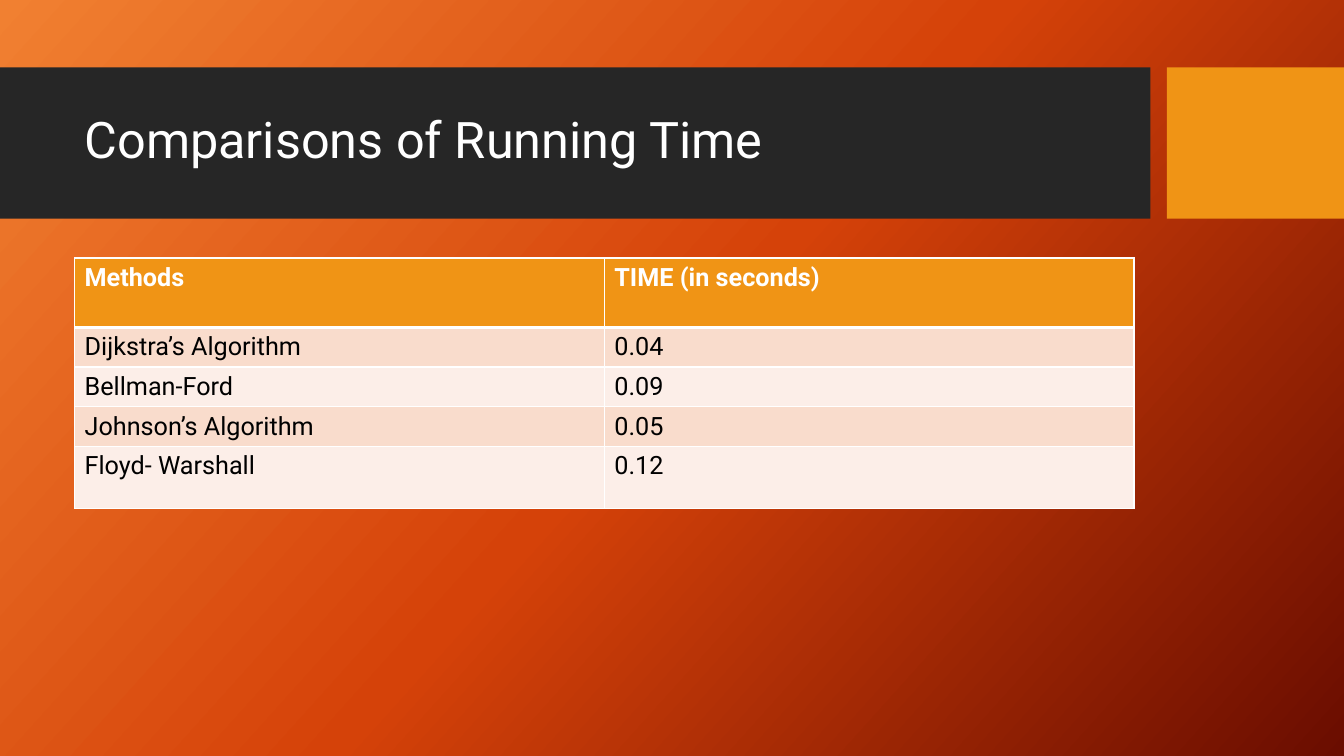
from copy import deepcopy

from lxml.etree import SubElement
from pptx import Presentation
from pptx.dml.color import RGBColor
from pptx.enum.shapes import MSO_SHAPE
from pptx.enum.text import MSO_ANCHOR, MSO_AUTO_SIZE, PP_ALIGN
from pptx.oxml.ns import qn
from pptx.util import Cm, Pt

COLOURS = {
    "light orange": "F18031",
    "deep orange": "D54209",
    "dark red": "6A0D00",
    "charcoal": "262626",
    "amber": "F09415",
    "odd row": "F9DCCC",
    "even row": "FCEEE8",
    "white": "FFFFFF",
    "black": "000000",
}
FONT = "Roboto"
CONTENT_LEFT, CONTENT_WIDTH = Cm(1.88), Cm(26.7)
BAND_TOP, BAND_HEIGHT = Cm(1.7), Cm(3.81)

RUNNING_TIMES = [
    ("Methods", "TIME (in seconds)"),
    ("Dijkstra’s Algorithm", "0.04"),
    ("Bellman-Ford", "0.09"),
    ("Johnson’s Algorithm", "0.05"),
    ("Floyd- Warshall", "0.12"),
]
ROW_HEIGHTS = [Cm(1.75), Cm(1), Cm(1), Cm(1), Cm(1.57)]


def colour(name):
    return RGBColor.from_string(COLOURS[name])


def format_text(text_frame, size, colour_name, bold=False):
    for paragraph in text_frame.paragraphs:
        for run in paragraph.runs:
            run.font.name = FONT
            run.font.size = Pt(size)
            run.font.bold = bold
            run.font.color.rgb = colour(colour_name)


def set_background(slide):
    fill = slide.background.fill
    fill.gradient()
    fill.gradient_angle = 360 - 42
    stop_list = slide.element.find(".//" + qn("a:gsLst"))
    stop_list.insert(1, deepcopy(stop_list[0]))
    names = ("light orange", "deep orange", "dark red")
    for index, (stop, name) in enumerate(zip(fill.gradient_stops, names)):
        stop.position = index / 2
        stop.color.rgb = colour(name)


def add_band(slide, left, width, colour_name):
    band = slide.shapes.add_shape(
        MSO_SHAPE.RECTANGLE, left, BAND_TOP, width, BAND_HEIGHT)
    band.shadow.inherit = False
    band.fill.solid()
    band.fill.fore_color.rgb = colour(colour_name)
    band.line.fill.background()


def set_title(slide, text):
    """Place the title in front of the bands."""
    title = slide.shapes.title
    slide.shapes.element.append(title.element)
    title.left, title.top = CONTENT_LEFT, Cm(2.08)
    title.width, title.height = CONTENT_WIDTH, Cm(3)
    text_frame = title.text_frame
    text_frame.text = text
    text_frame.auto_size = MSO_AUTO_SIZE.NONE
    text_frame.vertical_anchor = MSO_ANCHOR.MIDDLE
    text_frame.paragraphs[0].alignment = PP_ALIGN.LEFT
    text_frame.paragraphs[0].line_spacing = 0.9
    format_text(text_frame, 36, "white")


def set_borders(cell, top, bottom):
    """Draw white cell edges; top and bottom are widths in points."""
    properties = cell._tc.get_or_add_tcPr()
    for tag, width in (("lnL", 1), ("lnR", 1), ("lnT", top), ("lnB", bottom)):
        line = SubElement(properties, qn("a:" + tag), w=str(Pt(width)))
        fill = SubElement(line, qn("a:solidFill"))
        SubElement(fill, qn("a:srgbClr"), val=COLOURS["white"])


def add_running_times(slide):
    table = slide.shapes.add_table(
        len(RUNNING_TIMES), 2, CONTENT_LEFT, Cm(6.5),
        CONTENT_WIDTH, sum(ROW_HEIGHTS)).table
    for row_index, values in enumerate(RUNNING_TIMES):
        table.rows[row_index].height = ROW_HEIGHTS[row_index]
        header = row_index == 0
        row_colour = "odd row" if row_index % 2 else "even row"
        for column_index, value in enumerate(values):
            cell = table.cell(row_index, column_index)
            cell.text_frame.text = value
            format_text(cell.text_frame, 18,
                        "white" if header else "black", header)
            set_borders(cell, top=3 if row_index == 1 else 1,
                        bottom=3 if header else 1)
            cell.fill.solid()
            cell.fill.fore_color.rgb = colour("amber" if header else row_colour)


def main():
    presentation = Presentation()
    presentation.slide_width = Cm(33.87)
    presentation.slide_height = Cm(19.05)
    slide = presentation.slides.add_slide(presentation.slide_layouts[5])
    set_background(slide)
    add_band(slide, Cm(0), Cm(28.99), "charcoal")
    add_band(slide, Cm(29.41), Cm(4.46), "amber")
    set_title(slide, "Comparisons of Running Time")
    add_running_times(slide)
    presentation.save("out.pptx")


if __name__ == "__main__":
    main()
